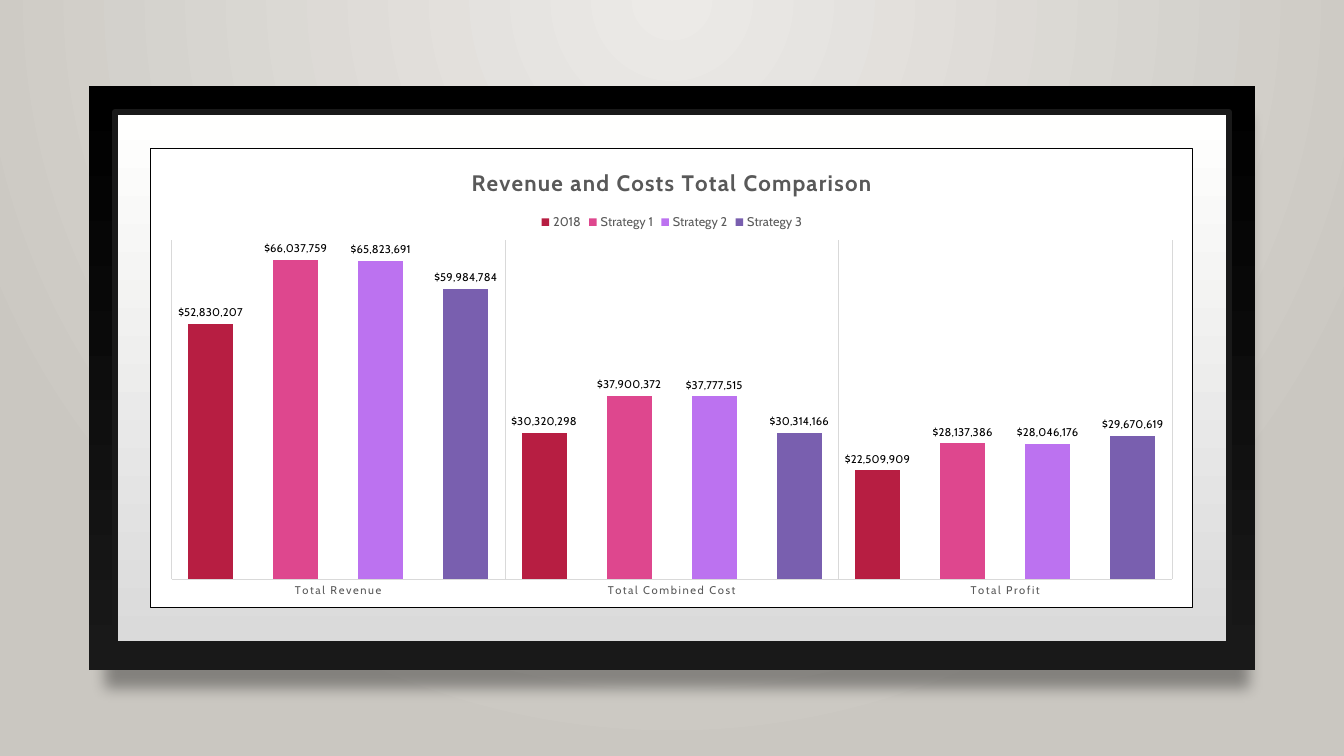
from lxml.etree import SubElement
from pptx import Presentation
from pptx.chart.data import CategoryChartData
from pptx.dml.color import RGBColor
from pptx.enum.chart import XL_CHART_TYPE, XL_LABEL_POSITION, XL_LEGEND_POSITION, XL_TICK_MARK
from pptx.enum.shapes import MSO_SHAPE
from pptx.oxml import parse_xml
from pptx.oxml.ns import nsdecls, qn
from pptx.util import Pt

FONT = "Cabin"
BLACK, CHARCOAL, GREY, RULE = "000000", "191919", "595959", "D9D9D9"
WALL = ("ECEAE7", "CAC7C1")
CATEGORIES = ["Total Revenue", "Total Combined Cost", "Total Profit"]
SERIES = [
    ("2018", "B71E42", (52830207, 30320298, 22509909)),
    ("Strategy 1", "DE478E", (66037759, 37900372, 28137386)),
    ("Strategy 2", "BC72F0", (65823691, 37777515, 28046176)),
    ("Strategy 3", "795FAF", (59984784, 30314166, 29670619)),
]


def color(value):
    return RGBColor.from_string(value)


def set_font(font, size, value=BLACK, bold=False, spacing=None):
    font.name, font.size, font.bold = FONT, Pt(size), bold
    font.color.rgb = color(value)
    if spacing is not None:
        font._element.set("spc", str(spacing * 100))


def add_text(para, text, **style):
    span = para.add_run()
    span.text = text
    set_font(span.font, **style)


def set_line(line, value, width):
    line.color.rgb = color(value)
    line.width = Pt(width)


def set_gradient(fill, first, last):
    """Two stops running from top to bottom; returns the gradient element."""
    fill.gradient()
    fill.gradient_angle = 270
    for stop, position, value in zip(fill.gradient_stops, (0, 1), (first, last)):
        stop.position = position
        stop.color.rgb = color(value)
    return fill._fill._gradFill


def paint_wall(page):
    gradient = set_gradient(page.background.fill, *WALL)
    gradient.remove(gradient.find(qn("a:lin")))
    circle = SubElement(gradient, qn("a:path"), {"path": "circle"})
    edges = {"l": "43000", "t": "0", "r": "43000", "b": "100000"}
    SubElement(circle, qn("a:fillToRect"), edges)


def add_panel(page, box, first, last):
    panel = page.shapes.add_shape(MSO_SHAPE.RECTANGLE, *map(Pt, box))
    panel.shadow.inherit = False
    set_gradient(panel.fill, first, last)
    panel.line.fill.background()
    return panel


def add_frame(page, box):
    left, top, width, height = box
    # Dark outer frame with a soft shadow below
    outer = add_panel(page, box, BLACK, CHARCOAL)
    effects = outer._element.spPr.find(qn("a:effectLst"))
    shadow = SubElement(effects, qn("a:outerShdw"), {
        "blurRad": str(Pt(10)), "dist": str(Pt(18)), "dir": str(79 * 60000),
        "sx": "98000", "sy": "98000", "algn": "ctr", "rotWithShape": "0"})
    shade = SubElement(shadow, qn("a:srgbClr"), {"val": BLACK})
    SubElement(shade, qn("a:alpha"), {"val": "34000"})
    # Light mat inside the frame
    inset = 18.5
    mat = (left + inset, top + inset, width - 2 * inset, height - 2 * inset)
    inner = add_panel(page, mat, "FFFFFE", "DADADA")
    set_line(inner.line, CHARCOAL, 4)


def set_plot_layout(chart, **fractions):
    plot_area = chart._chartSpace.chart.plotArea
    for old in plot_area.findall(qn("c:layout")):
        plot_area.remove(old)
    layout = parse_xml(f"<c:layout {nsdecls('c')}/>")
    plot_area.insert(0, layout)
    manual = SubElement(layout, qn("c:manualLayout"))
    settings = {"layoutTarget": "inner", "xMode": "edge", "yMode": "edge", **fractions}
    for name, value in settings.items():
        SubElement(manual, qn(f"c:{name}"), {"val": str(value)})


def set_chart_area(chart, fill, border, width):
    chart._chartSpace.chart.addnext(parse_xml(
        f'<c:spPr {nsdecls("c", "a")}>'
        f'<a:solidFill><a:srgbClr val="{fill}"/></a:solidFill>'
        f'<a:ln w="{Pt(width)}"><a:solidFill><a:srgbClr val="{border}"/></a:solidFill></a:ln>'
        '</c:spPr>'))


def add_comparison_chart(page, box):
    data = CategoryChartData()
    data.categories = CATEGORIES
    for name, _, values in SERIES:
        data.add_series(name, values)
    chart = page.shapes.add_chart(
        XL_CHART_TYPE.COLUMN_CLUSTERED, *map(Pt, box), data).chart
    set_font(chart.font, 10)
    set_chart_area(chart, "FFFFFF", BLACK, 0.75)
    set_plot_layout(chart, x=0.02, y=0.2, w=0.96, h=0.74)

    # Title and legend
    add_text(chart.chart_title.text_frame.paragraphs[0],
             "Revenue and Costs Total Comparison",
             size=16, value=GREY, bold=True, spacing=1)
    chart.chart_title.include_in_layout = False
    chart.has_legend = True
    chart.legend.position = XL_LEGEND_POSITION.TOP
    chart.legend.include_in_layout = False
    set_font(chart.legend.font, 9, GREY)

    # Axes
    category_axis, value_axis = chart.category_axis, chart.value_axis
    category_axis.major_tick_mark = XL_TICK_MARK.NONE
    category_axis.has_major_gridlines = True
    set_font(category_axis.tick_labels.font, 8, GREY, spacing=1)
    for line in (category_axis.format.line, category_axis.major_gridlines.format.line):
        set_line(line, RULE, 0.75)
    value_axis.has_major_gridlines = False
    value_axis.minimum_scale, value_axis.maximum_scale = 0, 70000000
    value_axis.visible = False

    # Columns and their labels
    plot = chart.plots[0]
    plot.gap_width, plot.overlap, plot.vary_by_categories = 75, -90, False
    for series, (_, fill, _) in zip(plot.series, SERIES):
        series.format.fill.solid()
        series.format.fill.fore_color.rgb = color(fill)
        labels = series.data_labels
        labels.show_value = True
        labels.position = XL_LABEL_POSITION.OUTSIDE_END
        labels.number_format = '"$"#,##0'
        labels.number_format_is_linked = False
        set_font(labels.font, 8)


deck = Presentation()
deck.slide_width, deck.slide_height = Pt(960), Pt(540)
page = deck.slides.add_slide(deck.slide_layouts[6])
paint_wall(page)
add_frame(page, (63.5, 61.5, 833, 417))
add_comparison_chart(page, (107.3, 106, 745.2, 328))
deck.save("out.pptx")
